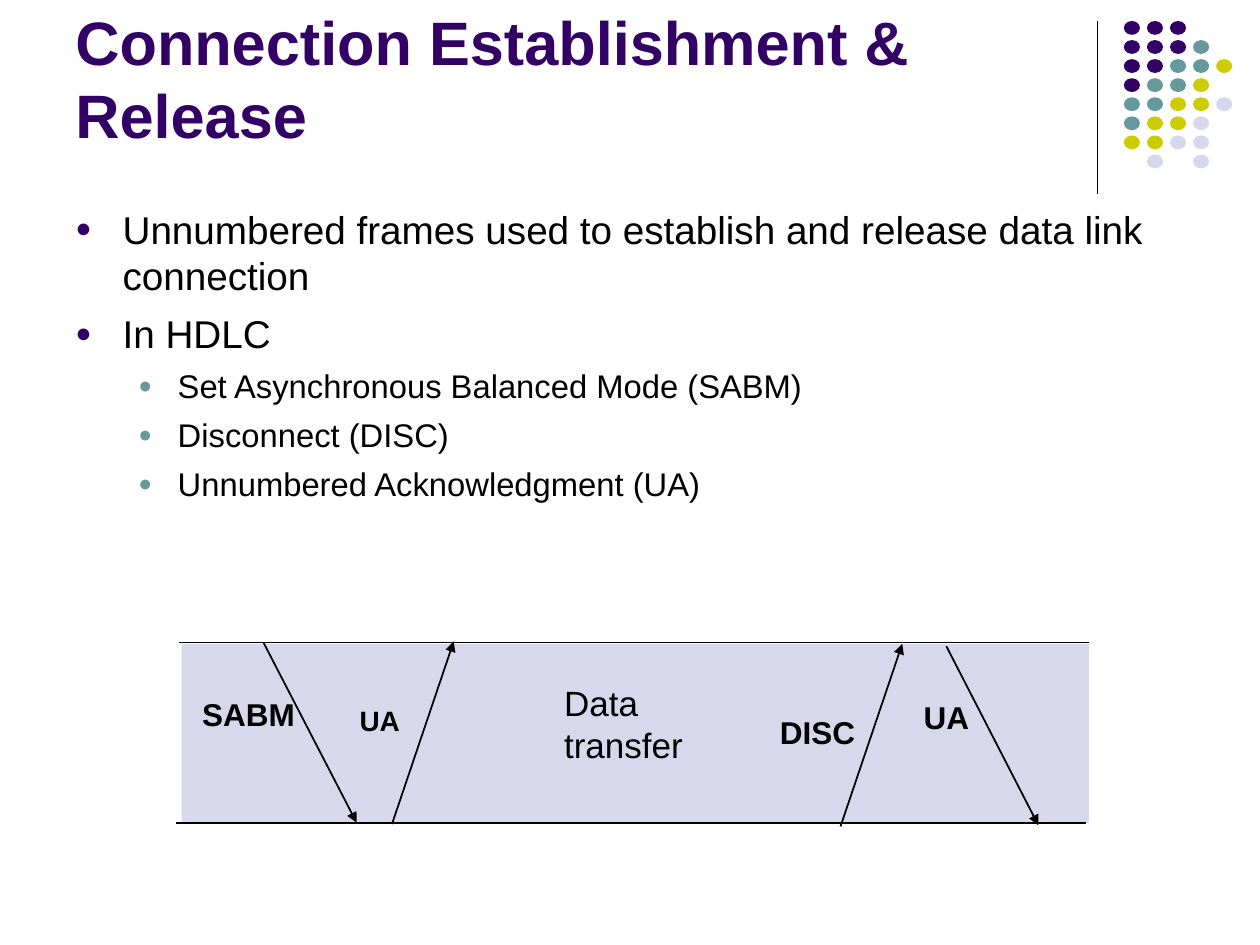
from lxml import etree
from pptx import Presentation
from pptx.dml.color import RGBColor
from pptx.enum import shapes, text
from pptx.oxml import ns
from pptx.util import Pt

PURPLE = RGBColor(0x33, 0x00, 0x66)
TEAL = RGBColor(0x66, 0x99, 0x99)
OLIVE = RGBColor(0xCC, 0xCC, 0x00)
LAVENDER = RGBColor(0xD8, 0xD8, 0xEC)
BLACK = RGBColor(0, 0, 0)

DOT_COLORS = {"P": PURPLE, "T": TEAL, "O": OLIVE, "L": LAVENDER}
DOT_ROWS = ["PPP", "PPPT", "PPTTO", "PTTO", "TTOOL", "TOOL", "OOLL", " L L"]

# Level formats: indent, hanging, space before, size, bullet colour
LEVELS = [(27, 27, 6.5, 22.1, PURPLE), (58.5, 22.5, 5.5, 18.7, TEAL)]
BULLETS = [
    (0, "Unnumbered frames used to establish and release data link connection"),
    (0, "In HDLC"),
    (1, "Set Asynchronous Balanced Mode (SABM)"),
    (1, "Disconnect (DISC)"),
    (1, "Unnumbered Acknowledgment (UA)"),
]

# Offsets from the band's top left corner: start, end, arrowhead
BAND_LINES = [
    (-1.5, -0.7, 518.5, -0.7, False),
    (-3, 102.2, 517, 102.2, False),
    (46.8, -0.7, 100, 102.2, True),
    (437, 1.4, 489.6, 103.7, True),
    (120.2, 103, 155.5, -1.4, True),
    (376.5, 104.4, 411.8, 0, True),
]
# Offset and size of the box, text, font size, bold
BAND_LABELS = [
    (4.6, 26, 70, 28.8, "SABM", 18, True),
    (416.9, 27.4, 42, 28.8, "UA", 18, True),
    (94.6, 30.6, 39, 25.9, "UA", 16, True),
    (334.8, 36, 60, 28.8, "DISC", 18, True),
    (211.5, 18, 86, 54.7, "Data\ntransfer", 20, False),
]


def add_filled(slide, kind, box, color):
    shape = slide.shapes.add_shape(kind, *map(Pt, box))
    shape.shadow.inherit = False
    shape.fill.solid()
    shape.fill.fore_color.rgb = color
    shape.line.fill.background()


def add_line(slide, ends, width, arrow=False):
    line = slide.shapes.add_connector(shapes.MSO_CONNECTOR.STRAIGHT, *map(Pt, ends))
    line.line.color.rgb = BLACK
    line.line.width = Pt(width)
    if arrow:
        etree.SubElement(line.line._get_or_add_ln(), ns.qn("a:tailEnd"), type="triangle")
    etree.SubElement(line._element.spPr, ns.qn("a:effectLst"))


def add_frame(slide, box, wrap=True, anchor=text.MSO_ANCHOR.TOP):
    frame = slide.shapes.add_textbox(*map(Pt, box)).text_frame
    values = {
        "word_wrap": wrap, "vertical_anchor": anchor,
        "margin_left": Pt(7.2), "margin_right": Pt(7.2),
        "margin_top": Pt(3.6), "margin_bottom": Pt(3.6),
    }
    for name, value in values.items():
        setattr(frame, name, value)
    return frame


def write(paragraph, words, size, color=BLACK, bold=False):
    run = paragraph.add_run()
    run.text = words
    for name, value in {"name": "Arial", "size": Pt(size), "bold": bold}.items():
        setattr(run.font, name, value)
    run.font.color.rgb = color


def set_bullet(paragraph, indent, hanging, color):
    properties = paragraph._p.get_or_add_pPr()
    properties.set("marL", str(Pt(indent)))
    properties.set("indent", str(-Pt(hanging)))
    bullet_color = etree.SubElement(properties, ns.qn("a:buClr"))
    etree.SubElement(bullet_color, ns.qn("a:srgbClr"), val=str(color))
    etree.SubElement(properties, ns.qn("a:buSzPct"), val="70000")
    etree.SubElement(properties, ns.qn("a:buFont"), typeface="Arial")
    etree.SubElement(properties, ns.qn("a:buChar"), char="●")


def add_dot_ornament(slide, box):
    """Draw the rule on the left edge and the dot grid beside it."""
    left, top, width, height = box
    add_line(slide, (left, top, left, top + height), 0.75)
    dot_width, dot_height, row_pitch = 9.2, 7.9, 10.9
    first = left + 15.1
    column_pitch = (left + width - dot_width - first) / 4
    for row, marks in enumerate(DOT_ROWS):
        for column, mark in enumerate(marks):
            if mark in DOT_COLORS:
                dot = (first + column * column_pitch, top + row * row_pitch,
                       dot_width, dot_height)
                add_filled(slide, shapes.MSO_SHAPE.OVAL, dot, DOT_COLORS[mark])


def add_title(slide, box):
    frame = add_frame(slide, box, anchor=text.MSO_ANCHOR.BOTTOM)
    write(frame.paragraphs[0], "Connection Establishment & Release", 35, PURPLE, True)


def add_bullets(slide, box):
    frame = add_frame(slide, box)
    for index, (level, words) in enumerate(BULLETS):
        paragraph = frame.add_paragraph() if index else frame.paragraphs[0]
        indent, hanging, space, size, color = LEVELS[level]
        paragraph.level = level
        paragraph.space_before = Pt(space)
        set_bullet(paragraph, indent, hanging, color)
        write(paragraph, words, size)


def add_exchange(slide, box):
    """Draw the frames exchanged between two stations over a band."""
    left, top = box[:2]
    add_filled(slide, shapes.MSO_SHAPE.RECTANGLE, box, LAVENDER)
    for x1, y1, x2, y2, arrow in BAND_LINES:
        add_line(slide, (left + x1, top + y1, left + x2, top + y2), 1, arrow)
    for x, y, width, height, words, size, bold in BAND_LABELS:
        frame = add_frame(slide, (left + x, top + y, width, height), wrap=False)
        frame.auto_size = text.MSO_AUTO_SIZE.SHAPE_TO_FIT_TEXT
        for index, line in enumerate(words.split("\n")):
            paragraph = frame.add_paragraph() if index else frame.paragraphs[0]
            write(paragraph, line, size, bold=bold)


def main():
    presentation = Presentation()
    presentation.slide_width, presentation.slide_height = Pt(720), Pt(540)
    slide = presentation.slides.add_slide(presentation.slide_layouts[6])
    add_dot_ornament(slide, (627.1, 12, 77, 98.7))
    add_title(slide, (36, 9.2, 594, 80.6))
    add_bullets(slide, (36, 113.8, 648, 178.6))
    add_exchange(slide, (103.8, 367.9, 518.4, 102.2))
    presentation.save("out.pptx")


if __name__ == "__main__":
    main()
